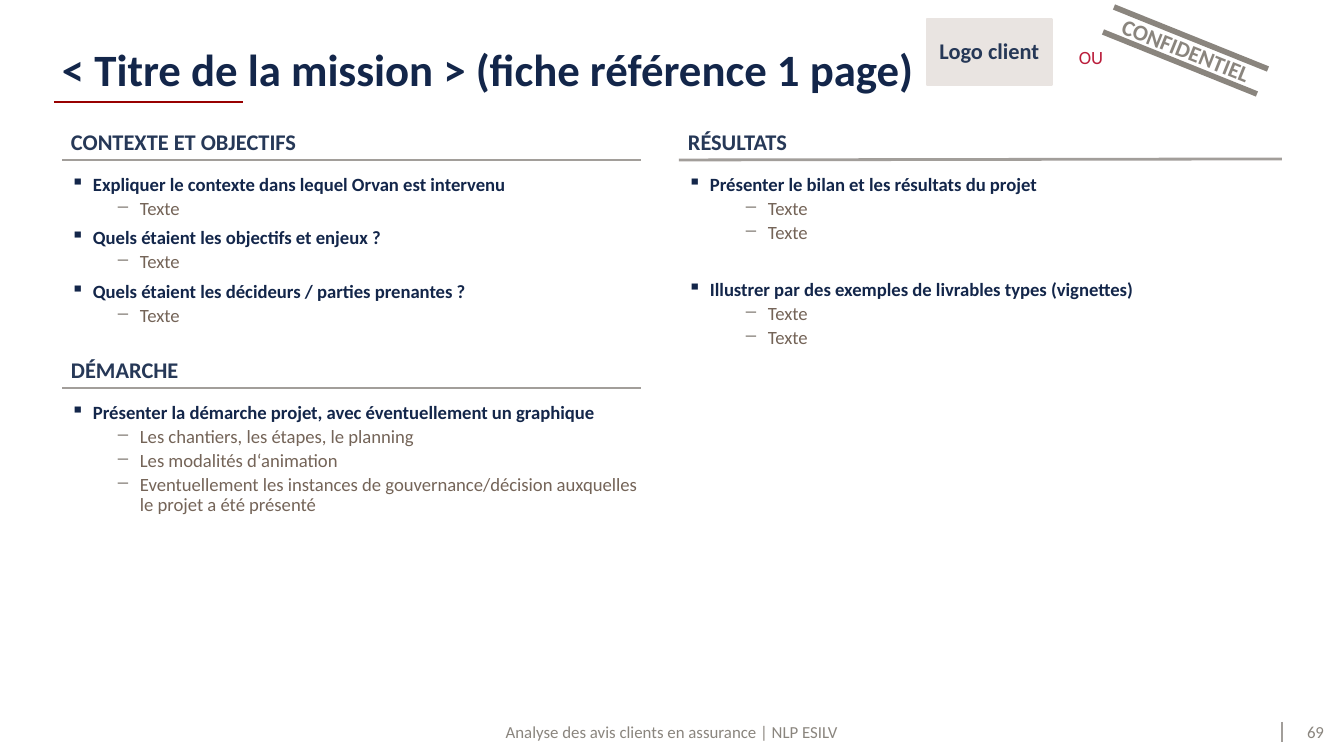
import pptx
import pptx.dml.color
import pptx.enum.shapes
import pptx.enum.text
import pptx.util
from lxml import etree

RGBColor = pptx.dml.color.RGBColor
ALIGN = pptx.enum.text.PP_ALIGN
ANCHOR = pptx.enum.text.MSO_ANCHOR

NAVY = RGBColor(0x13, 0x26, 0x4A)
SLATE = RGBColor(0x26, 0x38, 0x57)
BROWN = RGBColor(0x74, 0x64, 0x58)
GREY = RGBColor(0x8A, 0x85, 0x7E)
RULE_GREY = RGBColor(0xA2, 0x9E, 0x9A)
BEIGE = RGBColor(0xE9, 0xE4, 0xE1)
DARK_RED = RGBColor(0x98, 0x00, 0x00)
CRIMSON = RGBColor(0xBA, 0x1C, 0x3A)
WHITE = RGBColor(0xFF, 0xFF, 0xFF)

SLIDE_WIDTH, SLIDE_HEIGHT = 1344, 756
EMU_PER_PX = 9144000 / SLIDE_WIDTH
DRAWING_NS = "http://schemas.openxmlformats.org/drawingml/2006/main"

LEFT_X, RIGHT_X = 62, 679
LEFT_WIDTH, RIGHT_WIDTH = 579, 603
HEADING_HEIGHT = 30
BULLET_HANG = 22


def px(length):
    return pptx.util.Emu(round(length * EMU_PER_PX))


def add_drawing_element(parent, tag, **attributes):
    return etree.SubElement(parent, f"{{{DRAWING_NS}}}{tag}", **attributes)


def write(paragraph, text, size=10, color=NAVY, bold=False, align=ALIGN.LEFT,
          before=0, level=0, bullet=None, bullet_color=NAVY, indent=0):
    """Fill a paragraph with formatted text, with a hanging bullet if given."""
    paragraph.level = level
    if bullet:
        properties = paragraph._p.get_or_add_pPr()
        properties.set("marL", str(px(indent)))
        properties.set("indent", str(-px(BULLET_HANG)))
        bullet_fill = add_drawing_element(properties, "buClr")
        add_drawing_element(bullet_fill, "srgbClr", val=str(bullet_color))
        add_drawing_element(properties, "buChar", char=bullet)
    paragraph.alignment = align
    paragraph.line_spacing = 0.9
    paragraph.space_before = pptx.util.Pt(before)
    run = paragraph.add_run()
    run.text = text
    run.font.name = "Calibri"
    run.font.size = pptx.util.Pt(size)
    run.font.bold = bold
    run.font.color.rgb = color


class MissionSheet:
    def __init__(self, slide):
        self.slide = slide

    def set_frame(self, shape, insets, anchor, wrap=True):
        frame = shape.text_frame
        frame.word_wrap = wrap
        frame.vertical_anchor = anchor
        (frame.margin_left, frame.margin_top,
         frame.margin_right, frame.margin_bottom) = map(px, insets)
        return frame

    def label(self, text, left, top, width, height, insets=(4, 4, 4, 4),
              anchor=ANCHOR.MIDDLE, rotation=0, wrap=True, **style):
        box = self.slide.shapes.add_textbox(px(left), px(top), px(width), px(height))
        box.rotation = rotation
        frame = self.set_frame(box, insets, anchor, wrap)
        write(frame.paragraphs[0], text, **style)

    def panel(self, left, top, width, height, insets, fill=WHITE,
              anchor=ANCHOR.MIDDLE, border=None):
        """Add a filled rectangle and return its text frame."""
        rectangle = self.slide.shapes.add_shape(
            pptx.enum.shapes.MSO_SHAPE.RECTANGLE,
            px(left), px(top), px(width), px(height))
        rectangle.shadow.inherit = False
        rectangle.fill.solid()
        rectangle.fill.fore_color.rgb = fill
        if border is None:
            rectangle.line.fill.background()
        else:
            rectangle.line.color.rgb = border
            rectangle.line.width = pptx.util.Pt(1.5)
        return self.set_frame(rectangle, insets, anchor)

    def rule(self, start_x, start_y, end_x, end_y, color=RULE_GREY, weight=1.5):
        line = self.slide.shapes.add_connector(
            pptx.enum.shapes.MSO_CONNECTOR.STRAIGHT,
            px(start_x), px(start_y), px(end_x), px(end_y))
        line.line.color.rgb = color
        line.line.width = pptx.util.Pt(weight)
        add_drawing_element(line._element.spPr, "effectLst")

    def section(self, heading, topics, left, top, width, body_height,
                detail_indent=69, topic_gap=5, rule_rise=0):
        """Add a ruled heading over a panel of topics, each with its details."""
        body = self.panel(left, top + 38, width, body_height, (9, 9, 4, 5),
                          anchor=ANCHOR.TOP)
        paragraph = None
        for topic, details in topics:
            gap = topic_gap if paragraph else 0
            paragraph = body.add_paragraph() if paragraph else body.paragraphs[0]
            write(paragraph, topic, bold=True, before=gap, bullet="▪",
                  indent=BULLET_HANG)
            for detail in details:
                write(body.add_paragraph(), detail, color=BROWN, before=2, level=1,
                      bullet="–", bullet_color=GREY, indent=detail_indent)
        title = self.panel(left, top, width, HEADING_HEIGHT, (9, 5, 9, 5))
        write(title.paragraphs[0], heading, size=12, color=SLATE, bold=True)
        rule_y = top + HEADING_HEIGHT + 2
        self.rule(left + width, rule_y - rule_rise, left, rule_y)


def main():
    presentation = pptx.Presentation()
    presentation.slide_width = px(SLIDE_WIDTH)
    presentation.slide_height = px(SLIDE_HEIGHT)
    sheet = MissionSheet(presentation.slides.add_slide(presentation.slide_layouts[6]))

    footer_style = dict(size=9, color=GREY, align=ALIGN.CENTER)
    sheet.label("Analyse des avis clients en assurance | NLP ESILV",
                439, 719, 465, 28, **footer_style)
    sheet.rule(1282, 722, 1282, 742, weight=0.75)
    sheet.label("69", 1296, 719, 39, 28, **footer_style)

    sheet.rule(54, 102, 243, 102, color=DARK_RED, weight=1.25)
    sheet.label("< Titre de la mission > (fiche référence 1 page)",
                LEFT_X, 24, 1222, 75, insets=(0, 5, 3, 3), anchor=ANCHOR.BOTTOM,
                size=24, bold=True)

    sheet.section("CONTEXTE ET OBJECTIFS", [
        ("Expliquer le contexte dans lequel Orvan est intervenu", ["Texte"]),
        ("Quels étaient les objectifs et enjeux ?", ["Texte"]),
        ("Quels étaient les décideurs / parties prenantes ?", ["Texte"]),
    ], LEFT_X, 128, LEFT_WIDTH, 190)
    sheet.section("DÉMARCHE", [
        ("Présenter la démarche projet, avec éventuellement un graphique", [
            "Les chantiers, les étapes, le planning",
            "Les modalités d‘animation",
            "Eventuellement les instances de gouvernance/décision "
            "auxquelles le projet a été présenté",
        ]),
    ], LEFT_X, 356, LEFT_WIDTH, 306)
    sheet.section("RÉSULTATS", [
        ("Présenter le bilan et les résultats du projet", ["Texte", "Texte"]),
        ("Illustrer par des exemples de livrables types (vignettes)",
         ["Texte", "Texte"]),
    ], RIGHT_X, 128, RIGHT_WIDTH, 535, detail_indent=80, topic_gap=20, rule_rise=1)

    client_logo = sheet.panel(927, 19, 125, 66, (9, 4, 9, 4), fill=BEIGE, border=BEIGE)
    write(client_logo.paragraphs[0], "Logo client", size=12, color=SLATE, bold=True,
          align=ALIGN.CENTER)
    sheet.label("OU", 1070, 43, 47, 32, insets=(9, 5, 9, 5), anchor=ANCHOR.TOP,
                wrap=False, color=CRIMSON)

    sheet.label("CONFIDENTIEL", 1105, 34, 161, 35, insets=(0, 0, 0, 0), rotation=21.8,
                size=12, color=GREY, bold=True, align=ALIGN.CENTER)
    for stamp_x, stamp_y in ((1103, 32), (1114, 7)):
        sheet.rule(stamp_x, stamp_y, stamp_x + 154, stamp_y + 62, color=GREY, weight=3)

    presentation.save("out.pptx")


if __name__ == "__main__":
    main()
